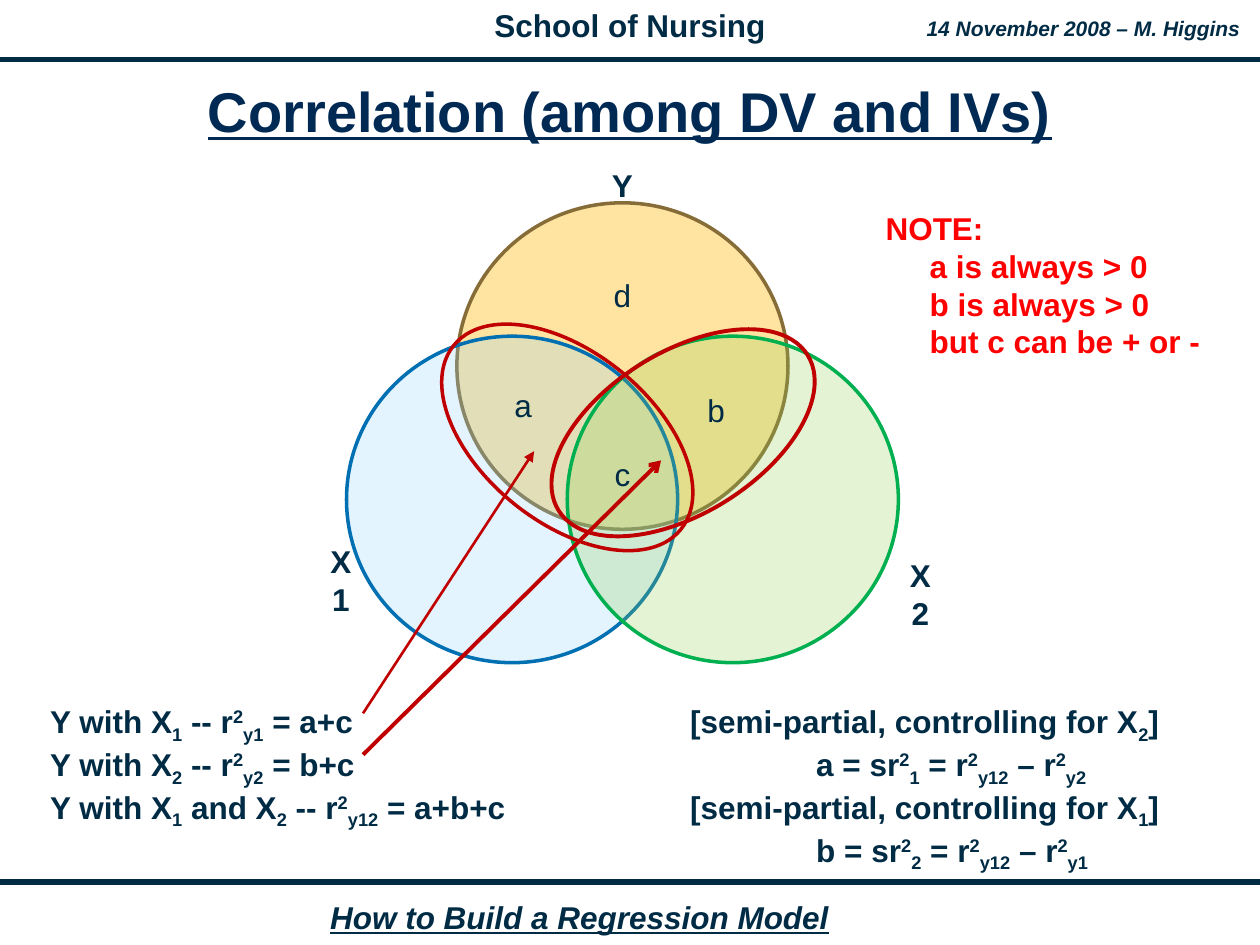
from dataclasses import dataclass

from lxml import etree
from pptx import Presentation
from pptx.dml.color import RGBColor
from pptx.enum.shapes import MSO_CONNECTOR, MSO_SHAPE
from pptx.enum.text import MSO_ANCHOR, PP_ALIGN
from pptx.oxml.ns import qn
from pptx.util import Inches, Pt

STRAIGHT = MSO_CONNECTOR.STRAIGHT
ELLIPSE = MSO_SHAPE.OVAL
MIDDLE, TOP = MSO_ANCHOR.MIDDLE, MSO_ANCHOR.TOP
LEFT, CENTER = PP_ALIGN.LEFT, PP_ALIGN.CENTER

FONT = "Arial"
GRID = Inches(1)  # one column or row
COLUMNS, ROWS = 10, 7.5
COLORS = {
    "ink": "002B45", "title": "002A54", "note": "FF0000", "accent": "C00000",
    "y": "FEE3A1", "y_edge": "866D38", "x1": "91D5FF", "x1_edge": "0070B3",
    "x2": "92D050", "x2_edge": "00B050",
}
BASELINES = {"_": "-25000", "^": "30000"}


@dataclass
class Box:
    """An area of the page, in grid columns and rows."""
    left: float
    top: float
    width: float
    height: float

    def point(self, x, y):
        return self.left + x * self.width, self.top + y * self.height

    def centered(self, x, y, width, height):
        """A box around the point at shares x and y of this one."""
        middle_x, middle_y = self.point(x, y)
        return Box(middle_x - width / 2, middle_y - height / 2, width, height)

    def lengths(self):
        return [round(n * GRID) for n in (self.left, self.top, self.width, self.height)]


def rgb(name):
    return RGBColor.from_string(COLORS[name])


def add_spans(para, markup):
    """Split text at bars; a span led by _ is subscript, by ^ superscript."""
    for piece in markup.split("|"):
        span = para.add_run()
        span.text = piece.lstrip("_^")
        if piece[0] in BASELINES:
            span.font._element.set("baseline", BASELINES[piece[0]])


def add_text(page, box, lines, size=18, color="ink", bold=True, italic=False,
             underline=False, align=LEFT, anchor=TOP, wrap=True, indents=(),
             spacing=None):
    frame = page.shapes.add_textbox(*box.lengths()).text_frame
    frame.word_wrap = wrap
    frame.vertical_anchor = anchor
    for number, line in enumerate(lines):
        para = frame.add_paragraph() if number else frame.paragraphs[0]
        para.alignment = align
        para.line_spacing = spacing
        if indents:
            para._p.get_or_add_pPr().set("marL", str(round(indents[number] * GRID)))
        add_spans(para, line)
        for span in para.runs:
            font = span.font
            font.name, font.size = FONT, Pt(size)
            font.bold, font.italic, font.underline = bold, italic, underline
            font.color.rgb = rgb(color)


def add_line(page, start, end, color, width, head=None):
    ends = [round(n * GRID) for n in (*start, *end)]
    line = page.shapes.add_connector(STRAIGHT, *ends)
    line.line.color.rgb = rgb(color)
    line.line.width = Pt(width)
    if head:
        etree.SubElement(line.line._get_or_add_ln(), qn("a:tailEnd"), type=head)
    etree.SubElement(line._element.spPr, qn("a:effectLst"))


def add_ellipse(page, box, edge, width=2, fill=None, opacity=100, rotation=0):
    ellipse = page.shapes.add_shape(ELLIPSE, *box.lengths())
    ellipse.shadow.inherit = False
    ellipse.rotation = rotation
    ellipse.line.color.rgb = rgb(edge)
    ellipse.line.width = Pt(width)
    if not fill:
        ellipse.fill.background()
        return
    ellipse.fill.solid()
    ellipse.fill.fore_color.rgb = rgb(fill)
    if opacity < 100:
        shade = ellipse._element.spPr.find(qn("a:solidFill"))[0]
        etree.SubElement(shade, qn("a:alpha"), val=str(opacity * 1000))


def add_header(page, box):
    add_line(page, box.point(0, 1), box.point(1, 1), "ink", 3)
    add_text(page, box.centered(0.5, 0.43, 2.35, 0.4), ["School of Nursing"],
             align=CENTER, wrap=False)
    add_text(page, box.centered(0.86, 0.47, 2.7, 0.3),
             ["14 November 2008 – M. Higgins"], size=12, italic=True,
             align=CENTER, wrap=False)


def add_footer(page, box):
    add_line(page, box.point(0, 0), box.point(1, 0), "ink", 3)
    add_text(page, box.centered(0.46, 0.56, 4.16, 0.4),
             ["How to Build a Regression Model"], italic=True, underline=True,
             align=CENTER, wrap=False)


def add_title(page, box):
    add_text(page, box, ["Correlation (among DV and IVs)"], size=32, color="title",
             underline=True, align=CENTER, anchor=MIDDLE, spacing=0.85)


def add_venn(page, box):
    """Three overlapping circles and the letters of their parts."""
    width, height = 0.6, 0.71
    for name, left, top, opacity in (("y", (1 - width) / 2, 0, 100),
                                     ("x1", 0, 1 - height, 25),
                                     ("x2", 1 - width, 1 - height, 25)):
        circle = Box(*box.point(left, top), width * box.width, height * box.height)
        add_ellipse(page, circle, name + "_edge", fill=name, opacity=opacity)
    for letter, x, y in (("a", 0.32, 0.44), ("b", 0.67, 0.45), ("c", 0.5, 0.59),
                         ("d", 0.5, 0.2), ("Y", 0.5, -0.04), ("X1", -0.01, 0.82),
                         ("X2", 1.04, 0.85)):
        add_text(page, box.centered(x, y, 0.5, 0.4), [letter], bold=letter[0] in "XY",
                 align=CENTER, anchor=MIDDLE, wrap=False)


def add_correlation_marks(page, box):
    """Ring each overlap with Y and point to it from its formula."""
    add_line(page, box.point(0.03, 1.11), box.point(0.34, 0.54), "accent", 1.5, "triangle")
    add_ellipse(page, box.centered(0.4, 0.51, 2.32, 1.35), "accent", rotation=39)
    add_ellipse(page, box.centered(0.61, 0.5, 2.33, 1.28), "accent", 2.25, rotation=328)
    add_line(page, box.point(0.03, 1.2), box.point(0.57, 0.56), "accent", 2.25, "arrow")


def add_correlations(page, box):
    add_text(page, box, ["Y with X|_1| -- r|^2|_y1| = a+c",
                         "Y with X|_2| -- r|^2|_y2| = b+c",
                         "Y with X|_1| and X|_2| -- r|^2|_y12| = a+b+c"])


def add_semi_partials(page, box):
    lines = []
    for letter, own, other in (("a", 1, 2), ("b", 2, 1)):
        lines += [f"[semi-partial, controlling for X|_{other}|]",
                  f"{letter} = sr|^2|_{own}| = r|^2|_y12| – r|^2|_y{other}"]
    add_text(page, box, lines, indents=(0, 1, 0, 1))


def add_note(page, box):
    add_text(page, box, ["NOTE:", "a is always > 0", "b is always > 0",
                         "but c can be + or -"],
             color="note", indents=(0, 0.35, 0.35, 0.35))


def main():
    deck = Presentation()
    deck.slide_width, deck.slide_height = round(COLUMNS * GRID), round(ROWS * GRID)
    page = deck.slides.add_slide(deck.slide_layouts[6])
    venn = Box(2.75, 1.61, 4.38, 3.65)
    add_header(page, Box(0, 0, COLUMNS, 0.47))
    add_footer(page, Box(0, 7, COLUMNS, 0.5))
    add_title(page, Box(0.25, 0.65, 9.5, 0.53))
    add_correlations(page, Box(0.3, 5.52, 4.32, 1.13))
    add_venn(page, venn)
    add_semi_partials(page, Box(5.38, 5.52, 4.43, 1.47))
    add_correlation_marks(page, venn)
    add_note(page, Box(6.93, 1.61, 2.79, 1.3))
    deck.save("out.pptx")


if __name__ == "__main__":
    main()
